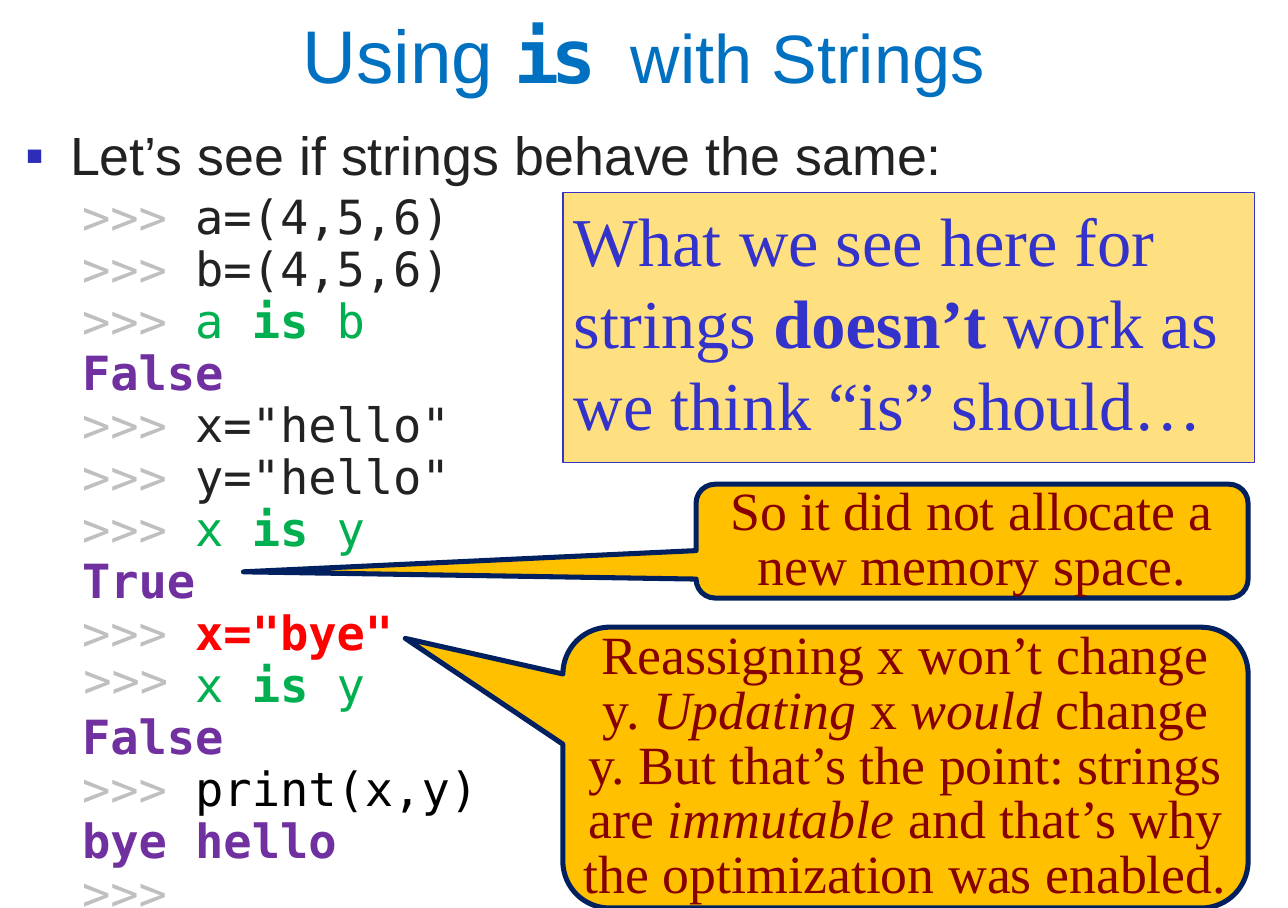
import pptx
import pptx.dml.color
import pptx.enum.shapes
import pptx.enum.text
import pptx.oxml.ns
import pptx.util
from lxml import etree

Pt = pptx.util.Pt
Shape = pptx.enum.shapes.MSO_SHAPE
Align = pptx.enum.text.PP_ALIGN
Anchor = pptx.enum.text.MSO_ANCHOR

COLORS = {
    "title": "0070C0", "text": "222222", "bullet": "2D2DB9",
    "prompt": "BFBFBF", "test": "00B050", "result": "7030A0",
    "change": "FF0000", "print": "000000", "white": "FFFFFF",
    "callout": "FFC000", "callout_line": "002060", "callout_text": "860000",
    "note": "FFE080", "note_text": "3333CC",
}
SANS, MONO, SERIF = "Arial", "DejaVu Sans Mono", "Times New Roman"
CODE_SIZE = 28

# Each line of the session: what follows the prompt, or a printed result
SESSION = [
    ("input", "a=(4,5,6)"), ("input", "b=(4,5,6)"),
    ("test", "a", "b"), ("result", "False"),
    ("input", 'x="hello"'), ("input", 'y="hello"'),
    ("test", "x", "y"), ("result", "True"),
    ("change", 'x="bye"'), ("test", "x", "y"), ("result", "False"),
    ("print", "print(x,y)"), ("result", "bye hello"), ("prompt",),
]


def rgb(name):
    return pptx.dml.color.RGBColor.from_string(COLORS[name])


def add_span(para, text, font, size, color, bold=False, italic=False, spacing=0):
    span = para.add_run()
    span.text = text
    span.font.name, span.font.size = font, Pt(size)
    span.font.color.rgb = rgb(color)
    span.font.bold, span.font.italic = bold, italic
    if spacing:
        span._r.get_or_add_rPr().set("spc", str(round(spacing * 100)))


def set_frame(frame, insets, anchor=Anchor.TOP, wrap=True):
    frame.word_wrap = wrap
    frame.vertical_anchor = anchor
    frame.margin_left = frame.margin_right = Pt(insets[0])
    frame.margin_top = frame.margin_bottom = Pt(insets[1])


def add_text_box(page, place, insets, anchor=Anchor.TOP):
    box = page.shapes.add_textbox(*map(Pt, place))
    set_frame(box.text_frame, insets, anchor)
    return box.text_frame


def add_panel(page, kind, place, fill, line=None, line_width=0):
    panel = page.shapes.add_shape(kind, *map(Pt, place))
    panel.shadow.inherit = False
    panel.fill.solid()
    panel.fill.fore_color.rgb = rgb(fill)
    if line:
        panel.line.color.rgb = rgb(line)
        panel.line.width = Pt(line_width)
    else:
        panel.line.fill.background()
    return panel


def add_callout(page, place, pointer, pieces):
    """Rounded callout; pieces are (text, italic) pairs."""
    callout = add_panel(page, Shape.ROUNDED_RECTANGULAR_CALLOUT, place,
                        "callout", "callout_line", 3)
    callout.adjustments[0], callout.adjustments[1] = pointer
    set_frame(callout.text_frame, (3.6, 3.6), Anchor.MIDDLE)
    para = callout.text_frame.paragraphs[0]
    para.alignment, para.line_spacing = Align.CENTER, Pt(32.5)
    for text, italic in pieces:
        add_span(para, text, SERIF, 32, "callout_text", italic=italic)


def set_indent(para, left, first=0, bullet=None, color=None):
    settings = para._p.get_or_add_pPr()
    settings.set("marL", str(Pt(left)))
    settings.set("indent", str(Pt(first)))
    if bullet:
        tag = pptx.oxml.ns.qn
        tint = etree.SubElement(settings, tag("a:buClr"))
        etree.SubElement(tint, tag("a:srgbClr"), val=COLORS[color])
        etree.SubElement(settings, tag("a:buFont"), typeface=SANS)
        etree.SubElement(settings, tag("a:buChar"), char=bullet)


def add_code_line(frame, kind, *words):
    para = frame.add_paragraph()
    set_indent(para, 33.7)
    para.alignment, para.line_spacing = Align.LEFT, Pt(30.9)

    def code(text, color, bold=False):
        add_span(para, text, MONO, CODE_SIZE, color, bold)

    if kind == "result":
        code(words[0], "result", True)
        return para
    code(">>> " if words else ">>>", "prompt")
    if kind == "test":
        code(words[0] + " ", "test")
        code("is", "test", True)
        code(" " + words[1], "test")
    elif words:
        code(words[0], "text" if kind == "input" else kind, kind == "change")
    return para


def add_title(page):
    frame = add_text_box(page, (64.8, 2, 635.8, 60), (7.2, 3.6), Anchor.MIDDLE)
    para = frame.paragraphs[0]
    para.alignment = Align.CENTER
    add_span(para, "Using ", SANS, 44.4, "title")
    add_span(para, "is", MONO, 44.4, "title", bold=True, spacing=-4.6)
    add_span(para, " ", SANS, 40.7, "title", spacing=9.3)
    add_span(para, "with Strings", SANS, 40.7, "title")


def add_session(page):
    frame = add_text_box(page, (8, 66, 696, 473), (7.2, 6.7))
    lead = frame.paragraphs[0]
    set_indent(lead, 26.6, -26.6, "▪", "bullet")
    add_span(lead, "Let’s see if strings behave the same:", SANS, 32, "text")
    for number, line in enumerate(SESSION):
        para = add_code_line(frame, *line)
        if number == 0:
            para.space_before = Pt(3.4)


def add_prompt_patch(page):
    patch = add_panel(page, Shape.RECTANGLE, (42.5, 387, 65.5, 33.8), "white")
    set_frame(patch.text_frame, (7.2, 0), wrap=False)
    para = patch.text_frame.paragraphs[0]
    para.alignment = Align.LEFT
    add_span(para, ">>>", MONO, CODE_SIZE, "prompt")


def add_note(page):
    note = add_panel(page, Shape.RECTANGLE, (334.8, 114.5, 411.1, 160.6),
                     "note", "note_text", 0.75)
    set_frame(note.text_frame, (6.5, 3.6))
    para = note.text_frame.paragraphs[0]
    para.alignment, para.line_spacing = Align.LEFT, Pt(48.8)
    for text, bold in (("What we see here for strings ", False),
                       ("doesn’t", True),
                       (" work as we think “is” should…", False)):
        add_span(para, text, SERIF, 40.7, "note_text", bold)


def main():
    deck = pptx.Presentation()
    deck.slide_width, deck.slide_height = Pt(766), Pt(540)
    page = deck.slides.add_slide(deck.slide_layouts[6])

    # Interactive session
    add_session(page)

    # Callouts pointing at session lines
    add_callout(page, (334.8, 373, 407.5, 167), (-0.73, -0.46), [
        ("Reassigning x won’t change y. ", False), ("Updating", True),
        (" x ", False), ("would", True),
        (" change y. But that’s the point: strings are ", False),
        ("immutable", True),
        (" and that’s why the optimization was enabled.", False),
    ])
    add_callout(page, (414, 288, 328.3, 67.7), (-1.32, 0.27), [
        ("So it did not allocate a new memory space.", False),
    ])

    # Prompt label, title and note
    add_prompt_patch(page)
    add_title(page)
    add_note(page)
    deck.save("out.pptx")


if __name__ == "__main__":
    main()
